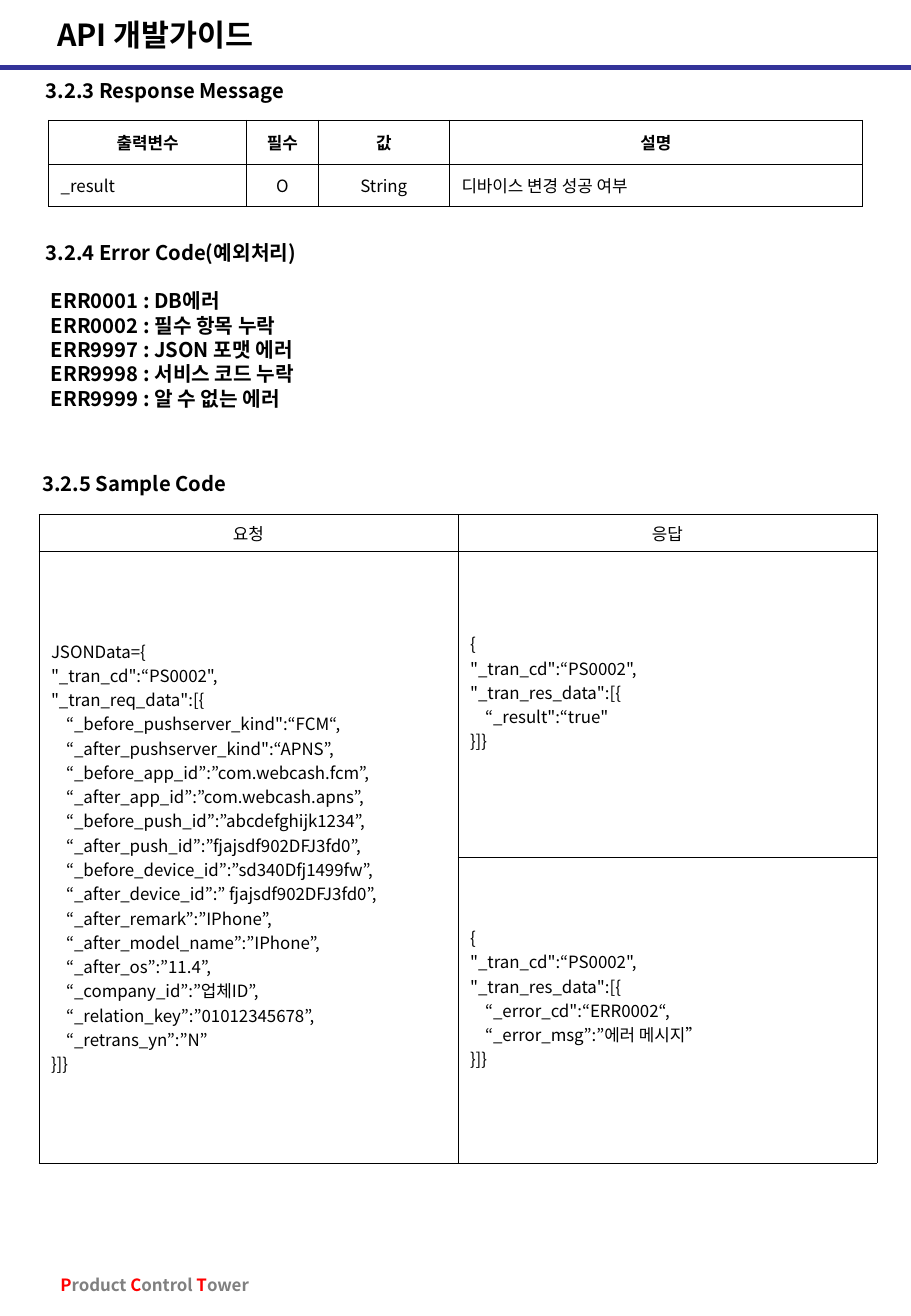
from lxml.etree import SubElement
from pptx import Presentation
from pptx.dml.color import RGBColor
from pptx.enum.text import MSO_ANCHOR as Anchor, MSO_AUTO_SIZE as AutoSize, PP_ALIGN as Align
from pptx.oxml import parse_xml
from pptx.oxml.ns import nsdecls, qn
from pptx.util import Inches, Pt

FONT = "Noto Sans CJK KR"
BLACK, RED, GRAY, NAVY = "000000", "FF0000", "808080", "333399"

ERRORS = [
    "ERR0001 : DB에러",
    "ERR0002 : 필수 항목 누락",
    "ERR9997 : JSON 포맷 에러",
    "ERR9998 : 서비스 코드 누락",
    "ERR9999 : 알 수 없는 에러",
]
REQUEST = """JSONData={
"_tran_cd":“PS0002",
"_tran_req_data":[{
    “_before_pushserver_kind":“FCM“,
    “_after_pushserver_kind":“APNS”,
    “_before_app_id”:”com.webcash.fcm”,
    “_after_app_id”:”com.webcash.apns”,
    “_before_push_id”:”abcdefghijk1234”,
    “_after_push_id”:”fjajsdf902DFJ3fd0”,
    “_before_device_id”:”sd340Dfj1499fw”,
    “_after_device_id”:” fjajsdf902DFJ3fd0”,
    “_after_remark”:”IPhone”,
    “_after_model_name”:”IPhone”,
    “_after_os”:”11.4”,
    “_company_id”:”업체ID”,
    “_relation_key”:”01012345678”,
    “_retrans_yn”:”N”
}]}"""
SUCCESS = """{
"_tran_cd":“PS0002",
"_tran_res_data":[{
    “_result":“true"
}]}"""
FAILURE = """{
"_tran_cd":“PS0002",
"_tran_res_data":[{
    “_error_cd":“ERR0002“,
    “_error_msg”:”에러 메시지”
}]}"""


def rgb(color):
    """Turn a hex string into a colour."""
    return RGBColor.from_string(color)


def write(frame, lines, size=10, bold=False, align=Align.LEFT, spacing=None):
    """Fill a frame with lines, each a string or a list of (text, colour) runs."""
    for index, line in enumerate(lines):
        paragraph = frame.add_paragraph() if index else frame.paragraphs[0]
        paragraph.alignment = align
        if spacing:
            paragraph.line_spacing = Pt(spacing)
        for text, color in [(line, BLACK)] if isinstance(line, str) else line:
            run = paragraph.add_run()
            run.text = text
            run.font.size, run.font.bold, run.font.name = Pt(size), bold, FONT
            run.font.color.rgb = rgb(color)
            SubElement(run.font._element, qn("a:ea"), typeface=FONT)


def set_frame(frame, wrap=True):
    """Give a frame its insets, wrapping and top anchor."""
    frame.margin_left = frame.margin_right = Inches(0.1)
    frame.margin_top = frame.margin_bottom = Inches(0.05)
    frame.word_wrap, frame.auto_size = wrap, AutoSize.NONE
    frame.vertical_anchor = Anchor.TOP


def add_text(slide, box, lines, size=12, wrap=True):
    """Add bold lines of text in a box."""
    frame = slide.shapes.add_textbox(*map(Inches, box)).text_frame
    set_frame(frame, wrap)
    write(frame, lines, size, bold=True, spacing=size * 1.2)


def add_header(slide, box, title):
    """Place the title and the rule under it."""
    left, top, width, height = box
    heading = slide.shapes.title
    heading.left, heading.top = Inches(left + 0.37), Inches(top + 0.08)
    heading.width, heading.height = Inches(width - 0.64), Inches(0.4)
    set_frame(heading.text_frame)
    write(heading.text_frame, [title], 18, bold=True, spacing=21.6)
    rule_y = Inches(top + height)
    rule = slide.shapes.add_connector(1, Inches(left), rule_y, Inches(left + width), rule_y)
    rule.line.color.rgb, rule.line.width = rgb(NAVY), Pt(3)
    SubElement(rule._element.spPr, qn("a:effectLst"))


def add_grid(slide, left, top, columns, rows):
    """Add a plain table whose cells have thin black borders."""
    box = map(Inches, (left, top, sum(columns), sum(rows)))
    table = slide.shapes.add_table(len(rows), len(columns), *box).table
    table.first_row = table.horz_banding = False
    for column, width in zip(table.columns, columns):
        column.width = Inches(width)
    for row, height in zip(table.rows, rows):
        row.height = Inches(height)
    for cell in table.iter_cells():
        cell.fill.background()
        cell.vertical_anchor = Anchor.MIDDLE
        for index, side in enumerate("LRTB"):
            cell._tc.get_or_add_tcPr().insert(index, parse_xml(
                f'<a:ln{side} {nsdecls("a")} w="5715"><a:solidFill>'
                f'<a:srgbClr val="{BLACK}"/></a:solidFill></a:ln{side}>'))
    return table


def add_response(slide, left, top):
    """Place the table of output variables."""
    table = add_grid(slide, left, top, [1.63, 0.59, 1.08, 3.4], [0.36, 0.35])
    names = ["출력변수", "필수", "값", "설명"]
    values = ["_result", "O", "String", "디바이스 변경 성공 여부"]
    aligns = [Align.LEFT, Align.CENTER, Align.CENTER, Align.LEFT]
    for index, (name, value, align) in enumerate(zip(names, values, aligns)):
        write(table.cell(0, index).text_frame, [name], bold=True, align=Align.CENTER)
        write(table.cell(1, index).text_frame, [value], align=align)


def add_samples(slide, left, top):
    """Place the table of request and response samples."""
    table = add_grid(slide, left, top, [3.45, 3.45], [0.27, 2.52, 2.52])
    table.cell(1, 0).merge(table.cell(2, 0))
    for index, name in enumerate(["요청", "응답"]):
        write(table.cell(0, index).text_frame, [name], align=Align.CENTER)
    write(table.cell(1, 0).text_frame, REQUEST.split("\n"))
    for row, code in enumerate([SUCCESS, FAILURE], start=1):
        table.cell(row, 1).margin_bottom = Inches(0.25)
        write(table.cell(row, 1).text_frame, code.split("\n"))


def main():
    """Build the guide page."""
    deck = Presentation()
    deck.slide_width, deck.slide_height = Inches(7.5), Inches(10.84)
    page = deck.slides.add_slide(deck.slide_layouts[5])
    add_header(page, (0, 0, 7.5, 0.56), "API 개발가이드")
    add_text(page, (0.28, 0.6, 6.9, 0.3), ["3.2.3 Response Message"])
    add_response(page, 0.4, 0.99)
    add_text(page, (0.28, 1.93, 6.9, 0.3), ["3.2.4 Error Code(예외처리)"])
    add_text(page, (0.32, 2.33, 6.9, 1.1), ERRORS)
    add_text(page, (0.25, 3.83, 6.9, 0.3), ["3.2.5 Sample Code"])
    add_samples(page, 0.32, 4.24)
    footer = [("P", RED), ("roduct ", GRAY), ("C", RED), ("ontrol ", GRAY),
              ("T", RED), ("ower", GRAY)]
    add_text(page, (0.4, 10.45, 1.76, 0.27), [footer], 10, wrap=False)
    deck.save("out.pptx")


if __name__ == "__main__":
    main()
